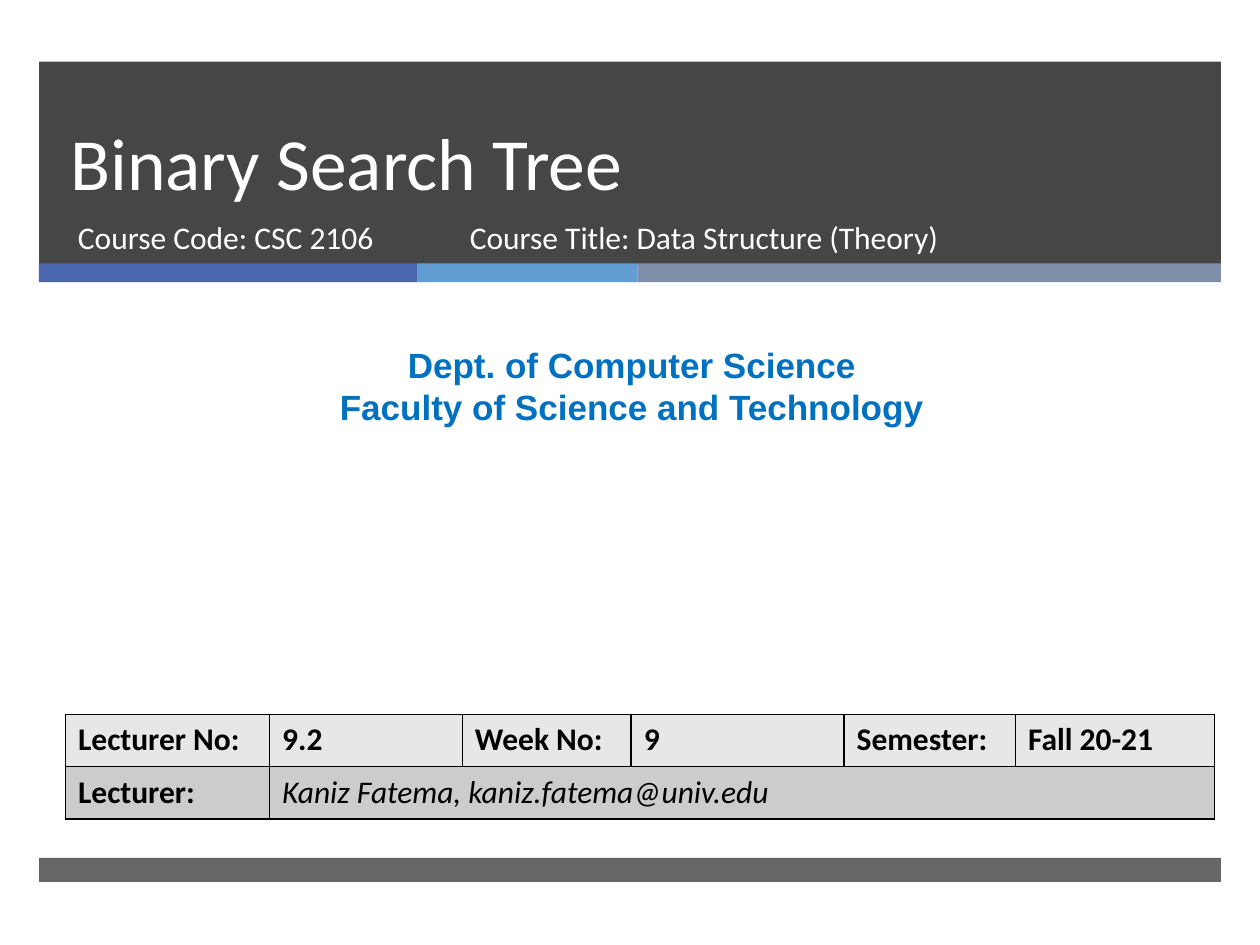
from dataclasses import dataclass, field
from itertools import accumulate

from lxml.etree import SubElement
from pptx import Presentation
from pptx.dml.color import RGBColor
from pptx.enum.shapes import MSO_SHAPE
from pptx.enum.text import MSO_ANCHOR, PP_ALIGN
from pptx.oxml.ns import qn
from pptx.util import Emu, Inches, Pt

WHITE = RGBColor(0xFF, 0xFF, 0xFF)
BLACK = RGBColor(0x00, 0x00, 0x00)
CHARCOAL = RGBColor(0x26, 0x26, 0x26)
INDIGO = RGBColor(0x4A, 0x66, 0xAC)
SKY = RGBColor(0x62, 0x9D, 0xD1)
SLATE = RGBColor(0x7F, 0x8F, 0xA9)
DEPT_BLUE = RGBColor(0x00, 0x70, 0xC0)
LIGHT_GRAY = RGBColor(0xE7, 0xE7, 0xE7)
MID_GRAY = RGBColor(0xCC, 0xCC, 0xCC)

SLIDE_WIDTH = Inches(10)
SLIDE_HEIGHT = Inches(7.5)

BODY_FONT = {"name": "Calibri", "size": Pt(18)}
TITLE_FONT = BODY_FONT | {"size": Pt(42)}
DEPT_FONT = {"name": "Arial", "size": Pt(20), "bold": True}
LABEL_FONT = BODY_FONT | {"bold": True}
LECTURER_FONT = BODY_FONT | {"italic": True}


@dataclass(frozen=True)
class Area:
    """Shares of the slide's width and height, in percent."""

    left: float
    top: float
    width: float
    height: float

    def lengths(self) -> tuple[Emu, Emu, Emu, Emu]:
        return (share(self.left, SLIDE_WIDTH), share(self.top, SLIDE_HEIGHT),
                share(self.width, SLIDE_WIDTH), share(self.height, SLIDE_HEIGHT))


@dataclass(frozen=True)
class Band:
    area: Area
    color: RGBColor
    opacity: int = 100


@dataclass(frozen=True)
class Caption:
    area: Area
    lines: tuple[str, ...]
    font: dict
    color: RGBColor
    layout: dict = field(default_factory=dict)
    anchor: MSO_ANCHOR = MSO_ANCHOR.TOP


def share(percent: float, whole: int) -> Emu:
    return Emu(round(whole * percent / 100))


def apply_format(target, values: dict) -> None:
    for attribute, value in values.items():
        setattr(target, attribute, value)


def draw_band(slide, band: Band) -> None:
    bar = slide.shapes.add_shape(MSO_SHAPE.RECTANGLE, *band.area.lengths())
    bar.shadow.inherit = False
    bar.fill.solid()
    bar.fill.fore_color.rgb = band.color
    bar.line.fill.background()
    if band.opacity < 100:
        color = bar._element.spPr.find(qn("a:solidFill"))[0]
        SubElement(color, qn("a:alpha"), val=str(band.opacity * 1000))


def write_line(paragraph, text: str, font: dict, color: RGBColor) -> None:
    run = paragraph.add_run()
    run.text = text
    apply_format(run.font, font)
    run.font.color.rgb = color


def draw_caption(slide, caption: Caption) -> None:
    frame = slide.shapes.add_textbox(*caption.area.lengths()).text_frame
    apply_format(frame, {"word_wrap": True, "vertical_anchor": caption.anchor})
    for index, line in enumerate(caption.lines):
        paragraph = frame.add_paragraph() if index else frame.paragraphs[0]
        apply_format(paragraph, caption.layout)
        write_line(paragraph, line, caption.font, caption.color)


def style_cell(cell, background: RGBColor) -> None:
    properties = cell._tc.get_or_add_tcPr()
    for side in ("lnL", "lnR", "lnT", "lnB"):
        border = SubElement(properties, qn(f"a:{side}"), w=str(Pt(1)))
        ink = SubElement(border, qn("a:solidFill"))
        SubElement(ink, qn("a:srgbClr"), val=str(BLACK))
    cell.fill.solid()
    cell.fill.fore_color.rgb = background


def draw_lecture_table(slide, area: Area, column_shares: list[float],
                       rows: list[list[str]]) -> None:
    table = slide.shapes.add_table(
        len(rows), len(column_shares), *area.lengths()).table
    for column, percent in zip(table.columns, column_shares):
        column.width = share(percent, SLIDE_WIDTH)
    for row, background in zip(table.rows, (LIGHT_GRAY, MID_GRAY)):
        for cell in row.cells:
            style_cell(cell, background)
    table.cell(1, 1).merge(table.cell(1, len(column_shares) - 1))
    for row_index, texts in enumerate(rows):
        for column_index, text in enumerate(texts):
            font = LECTURER_FONT if (row_index, column_index) == (1, 1) else LABEL_FONT
            paragraph = table.cell(row_index, column_index).text_frame.paragraphs[0]
            write_line(paragraph, text, font, BLACK)


MARGIN = 3.1
BAND_WIDTH = 93.8
STRIPE_WIDTHS = (30, 17.5, 46.3)
STRIPE_LEFTS = accumulate(STRIPE_WIDTHS[:-1], initial=MARGIN)

BANDS = [
    Band(Area(MARGIN, 6.53, BAND_WIDTH, 21.47), CHARCOAL, 85),
    *(Band(Area(left, 27.87, width, 2), color)
      for left, width, color in zip(STRIPE_LEFTS, STRIPE_WIDTHS, (INDIGO, SKY, SLATE))),
    Band(Area(MARGIN, 90.8, BAND_WIDTH, 2.53), CHARCOAL, 70),
]

CAPTIONS = [
    Caption(Area(4.6, 6.53, 85.4, 15.87), ("Binary Search Tree",), TITLE_FONT, WHITE,
            {"line_spacing": Pt(46)}, MSO_ANCHOR.BOTTOM),
    Caption(Area(5.2, 22.4, 30.5, 7.07), ("Course Code: CSC 2106",), BODY_FONT, WHITE),
    Caption(Area(36.3, 22.4, 45.5, 7.07), ("Course Title: Data Structure (Theory)",),
            BODY_FONT, WHITE),
    Caption(Area(0.8, 35.73, 98.7, 10.27),
            ("Dept. of Computer Science", "Faculty of Science and Technology"),
            DEPT_FONT, DEPT_BLUE, {"alignment": PP_ALIGN.CENTER}),
]

LECTURE_COLUMNS = [16.2, 15.3, 13.4, 16.9, 13.6, 15.8]
LECTURE_ROWS = [
    ["Lecturer No:", "9.2", "Week No:", "9", "Semester:", "Fall 20-21"],
    ["Lecturer:", "Kaniz Fatema, kaniz.fatema@univ.edu"],
]


def main() -> None:
    presentation = Presentation()
    apply_format(presentation, {"slide_width": SLIDE_WIDTH, "slide_height": SLIDE_HEIGHT})
    slide = presentation.slides.add_slide(presentation.slide_layouts[6])
    for band in BANDS:
        draw_band(slide, band)
    for caption in CAPTIONS:
        draw_caption(slide, caption)
    draw_lecture_table(slide, Area(5.2, 75.6, sum(LECTURE_COLUMNS), 11.07),
                       LECTURE_COLUMNS, LECTURE_ROWS)
    presentation.save("out.pptx")


if __name__ == "__main__":
    main()
